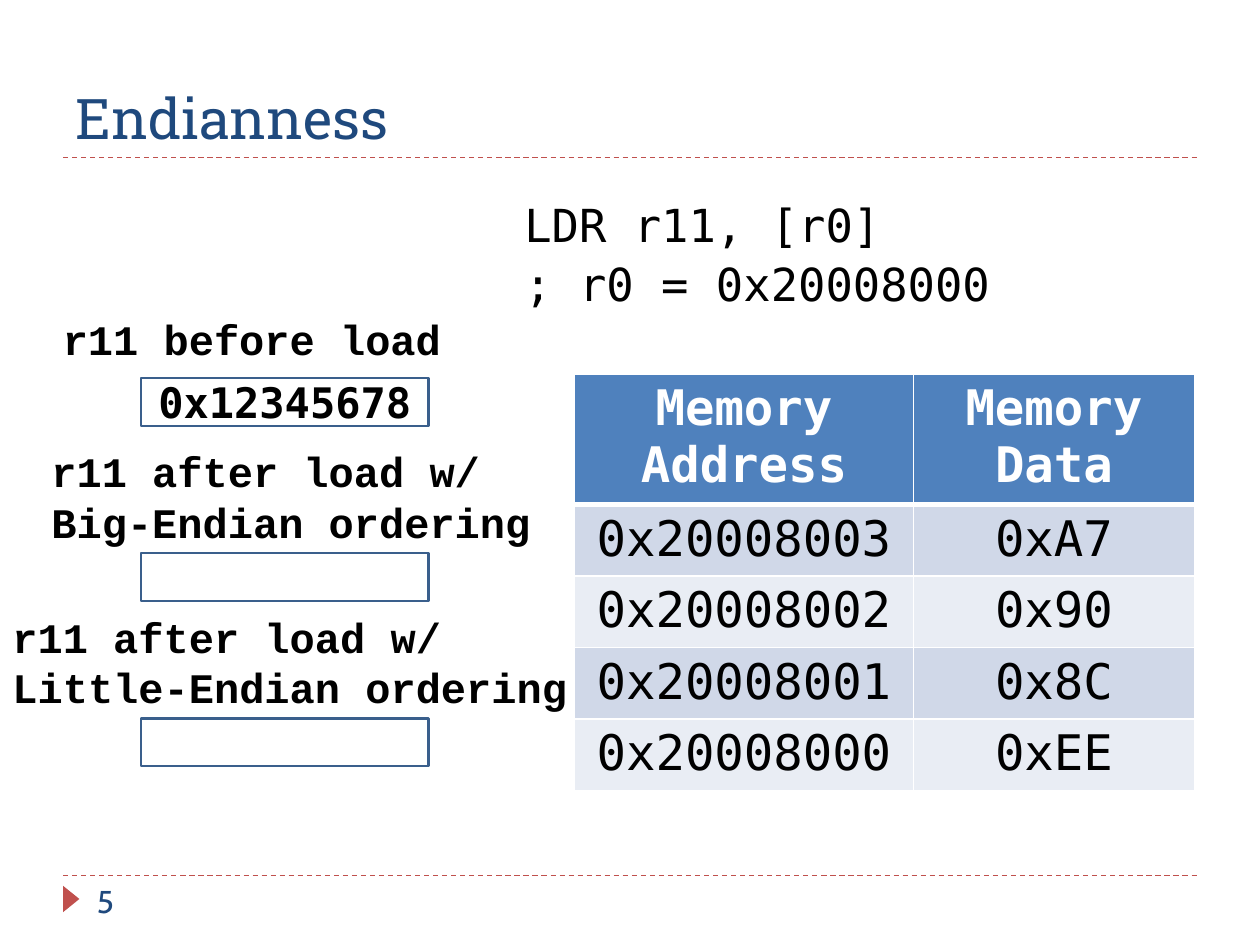
from lxml import etree
from pptx import Presentation
from pptx.dml.color import RGBColor
from pptx.enum import dml, shapes, text
from pptx.oxml import ns
from pptx.util import Pt

THEME = {
    "navy": "1F497D", "red": "C0504D", "black": "000000", "white": "FFFFFF",
    "header": "4F81BD", "bands": ("D0D8E8", "E9EDF4"), "outline": "3A5F8C",
    "title_size": 32, "table_size": 28, "code_size": 26, "label_size": 24, "number_size": 18,
    "title_font": "Roboto Slab", "code_font": "DejaVu Sans Mono",
    "label_font": "Courier New", "number_font": "Cabin",
}
LEFT, TOP = text.PP_ALIGN.LEFT, text.MSO_ANCHOR.TOP
CENTER, MIDDLE = text.PP_ALIGN.CENTER, text.MSO_ANCHOR.MIDDLE


def write(frame, lines, role, color="black", bold=False, align=LEFT, **frame_format):
    """Fill a text frame with one paragraph per line, in the style of a role."""
    for name, value in frame_format.items():
        setattr(frame, name, value)
    for i, line in enumerate(lines):
        paragraph = frame.paragraphs[0] if i == 0 else frame.add_paragraph()
        paragraph.alignment = align
        run = paragraph.add_run()
        run.text = line
        size_role, font_role = role
        font_format = {"name": THEME[font_role + "_font"],
                       "size": Pt(THEME[size_role + "_size"]), "bold": bold}
        for name, value in font_format.items():
            setattr(run.font, name, value)
        run.font.color.rgb = RGBColor.from_string(THEME[color])


def add_border(cell, side, width):
    """Draw one white edge of a table cell."""
    edge = etree.SubElement(cell._tc.get_or_add_tcPr(), ns.qn("a:ln" + side), w=str(Pt(width)))
    fill = etree.SubElement(edge, ns.qn("a:solidFill"))
    etree.SubElement(fill, ns.qn("a:srgbClr"), val=THEME["white"])


deck = Presentation()
deck.slide_width, deck.slide_height = Pt(720), Pt(540)
slide = deck.slides.add_slide(deck.slide_layouts[5])

# Dashed rules below the title and above the footer
for y in (500.4, 90):
    rule = slide.shapes.add_connector(shapes.MSO_CONNECTOR.STRAIGHT, Pt(36), Pt(y), Pt(684), Pt(y))
    rule.line.color.rgb = RGBColor.from_string(THEME["red"])
    rule.line.width = Pt(0.75)
    rule.line.dash_style = dml.MSO_LINE.DASH
    etree.SubElement(rule._element.spPr, ns.qn("a:effectLst"))

# Title
title = slide.shapes.title
for name, value in {"left": 36, "top": 12.24, "width": 648, "height": 77.76}.items():
    setattr(title, name, Pt(value))
write(title.text_frame, ["Endianness"], ("title", "title"), "navy",
      vertical_anchor=text.MSO_ANCHOR.BOTTOM, word_wrap=True)

# Footer marker and slide number
marker = slide.shapes.add_shape(shapes.MSO_SHAPE.ISOSCELES_TRIANGLE,
                                Pt(33.12), Pt(509.04), Pt(15.12), Pt(9.36))
marker.rotation = 90
marker.shadow.inherit = False
marker.fill.solid()
marker.fill.fore_color.rgb = RGBColor.from_string(THEME["red"])
marker.line.fill.background()
number = slide.shapes.add_textbox(Pt(48.24), Pt(500.4), Pt(156.24), Pt(28.8))
write(number.text_frame, ["5"], ("number", "number"), "navy", word_wrap=True)

# Load instruction
instruction = slide.shapes.add_textbox(Pt(273.6), Pt(112.32), Pt(378), Pt(80.64))
write(instruction.text_frame, ["LDR r11, [r0]", "; r0 = 0x20008000"], ("code", "code"),
      word_wrap=True, margin_left=Pt(26))
for i, paragraph in enumerate(instruction.text_frame.paragraphs):
    paragraph.line_spacing = 0.9
    paragraph.space_before = Pt(6 if i else 0)

# Memory table
memory = [("Memory Address", "Memory Data"), ("0x20008003", "0xA7"), ("0x20008002", "0x90"),
          ("0x20008001", "0x8C"), ("0x20008000", "0xEE")]
table = slide.shapes.add_table(len(memory), 2, Pt(328.32), Pt(213.84), Pt(354.24), Pt(230.4)).table
for column, width in zip(table.columns, (193.68, 160.56)):
    column.width = Pt(width)
for r, values in enumerate(memory):
    is_header = r == 0
    table.rows[r].height = Pt(72 if is_header else 39.6)
    for c, value in enumerate(values):
        cell = table.cell(r, c)
        for side in "LRTB":
            thick = (is_header and side == "B") or (r == 1 and side == "T")
            add_border(cell, side, 3 if thick else 1)
        cell.fill.solid()
        cell.fill.fore_color.rgb = RGBColor.from_string(
            THEME["header"] if is_header else THEME["bands"][(r - 1) % 2])
        write(cell.text_frame, [value], ("table", "code"),
              "white" if is_header else "black", bold=is_header, align=CENTER)

# Register states: label position and wrap, then box top and value
registers = [
    ("r11 before load", (28.8, 175.68, 232.56, 36), False, 216, "0x12345678"),
    ("r11 after load w/ Big-Endian ordering", (22.32, 251.28, 305.28, 65.52), True, 316.08, ""),
    ("r11 after load w/ Little-Endian ordering", (0, 345.6, 337.68, 65.52), True, 410.4, ""),
]
for caption, bounds, wraps, box_top, content in registers:
    label = slide.shapes.add_textbox(*map(Pt, bounds))
    write(label.text_frame, [caption], ("label", "label"), bold=True,
          word_wrap=wraps, vertical_anchor=TOP)
    register = slide.shapes.add_shape(shapes.MSO_SHAPE.RECTANGLE,
                                      Pt(80.64), Pt(box_top), Pt(164.16), Pt(27.36))
    register.shadow.inherit = False
    register.fill.solid()
    register.fill.fore_color.rgb = RGBColor.from_string(THEME["white"])
    register.line.color.rgb = RGBColor.from_string(THEME["outline"])
    register.line.width = Pt(1.5)
    if content:
        write(register.text_frame, [content], ("label", "code"), bold=True, align=CENTER,
              vertical_anchor=MIDDLE, word_wrap=True)

deck.save("out.pptx")
